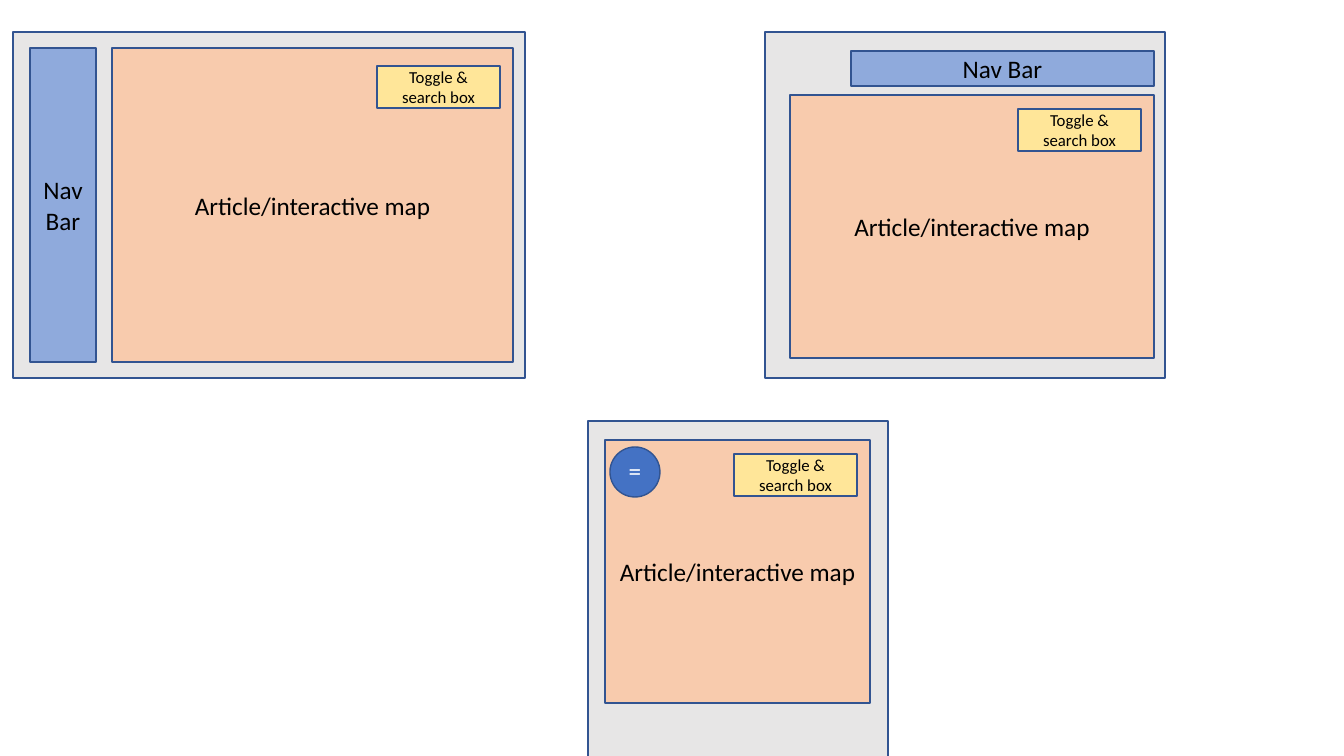
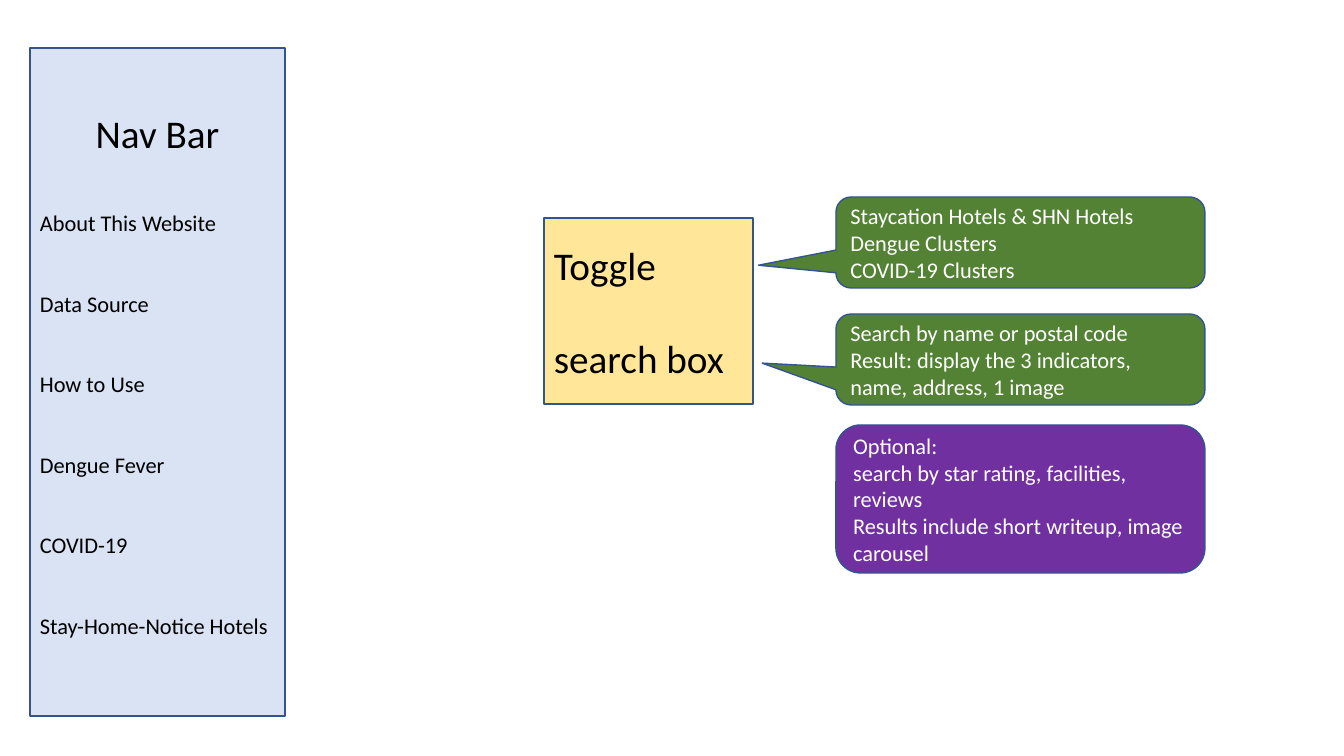
from dataclasses import dataclass

from pptx import Presentation
from pptx.dml.color import RGBColor
from pptx.enum.shapes import MSO_SHAPE
from pptx.enum.text import MSO_ANCHOR, PP_ALIGN
from pptx.util import Emu, Pt


@dataclass(frozen=True)
class Theme:
    font: str = "Calibri"
    outline: str = "325491"
    screen: str = "E7E6E6"
    nav: str = "8FAADC"
    nav_pale: str = "DAE3F3"
    article: str = "F8CBAD"
    toggle: str = "FFE699"
    button: str = "4472C4"
    required: str = "548235"
    optional: str = "7030A0"
    dark: str = "000000"
    light: str = "FFFFFF"
    heading: int = 28
    label: int = 18
    body: int = 16
    small: int = 12


THEME = Theme()
SCALE = 914400 / 100.8


def px(length):
    return Emu(round(length * SCALE))


class Wireframe:
    def __init__(self, theme):
        self.theme = theme
        self.deck = Presentation()
        self.deck.slide_width, self.deck.slide_height = px(1344), px(756)
        self.page = None

    def new_page(self):
        self.page = self.deck.slides.add_slide(self.deck.slide_layouts[6])

    def box(self, place, fill, kind=MSO_SHAPE.RECTANGLE, adjust=()):
        box = self.page.shapes.add_shape(kind, *map(px, place))
        box.shadow.inherit = False
        box.fill.solid()
        box.fill.fore_color.rgb = RGBColor.from_string(fill)
        box.line.color.rgb = RGBColor.from_string(self.theme.outline)
        box.line.width = Pt(1)
        for index, value in enumerate(adjust):
            box.adjustments[index] = value
        box.text_frame.word_wrap = True
        box.text_frame.vertical_anchor = MSO_ANCHOR.MIDDLE
        return box

    def add_lines(self, box, lines, size, color=None, align=PP_ALIGN.LEFT, gap=0):
        """Fill the box with one paragraph a line, gap points apart."""
        frame = box.text_frame
        for index, line in enumerate(lines):
            para = frame.add_paragraph() if index else frame.paragraphs[0]
            para.alignment = align
            para.space_before = Pt(gap if index else 0)
            span = para.add_run()
            span.text = line
            span.font.name = self.theme.font
            span.font.size = Pt(size)
            span.font.color.rgb = RGBColor.from_string(color or self.theme.dark)
        return frame

    def label(self, place, fill, text, size):
        self.add_lines(self.box(place, fill), [text], size, align=PP_ALIGN.CENTER)

    def screen(self, place, article, toggle_top, nav=None):
        """A device screen: optional nav bar, article and its toggle box."""
        theme = self.theme
        self.box(place, theme.screen)
        if nav:
            self.label(nav, theme.nav, "Nav Bar", theme.label)
        self.label(article, theme.article, "Article/interactive map", theme.label)
        left, top, width, _ = article
        toggle = (left + width - 136, top + toggle_top, 123, 42)
        self.label(toggle, theme.toggle, "Toggle & search box", theme.small)

    def menu_button(self, place):
        button = self.box(place, self.theme.button, MSO_SHAPE.OVAL)
        frame = self.add_lines(button, ["=", "="], self.theme.label,
                               self.theme.light, PP_ALIGN.CENTER)
        frame.margin_top = frame.margin_bottom = 0
        frame.paragraphs[1].line_spacing = Pt(2)

    def menu(self, place, title, items):
        box = self.box(place, self.theme.nav_pale)
        frame = self.add_lines(box, [title, *items], self.theme.body, gap=28.7)
        frame.margin_bottom = px(45)
        for para in frame.paragraphs:
            para.line_spacing = 1.5
        heading = frame.paragraphs[0]
        heading.alignment = PP_ALIGN.CENTER
        heading.runs[0].font.size = Pt(self.theme.heading)

    def note(self, top, height, fill, lines, pointer=None):
        kind = (MSO_SHAPE.ROUNDED_RECTANGULAR_CALLOUT if pointer
                else MSO_SHAPE.ROUNDED_RECTANGLE)
        adjust = (*pointer, 0.167) if pointer else ()
        box = self.box((836, top, 369, height), fill, kind, adjust)
        self.add_lines(box, lines, self.theme.body, self.theme.light)


frames = Wireframe(THEME)

# Page 1: desktop, tablet and phone layouts
frames.new_page()
frames.screen((13, 32, 512, 346), (112, 48, 401, 314), 18, nav=(30, 48, 66, 314))
frames.screen((765, 32, 400, 346), (790, 95, 364, 263), 14, nav=(851, 51, 303, 35))
frames.screen((588, 421, 300, 346), (605, 440, 265, 263), 14)
frames.menu_button((610, 447, 50, 50))

# Page 2: nav bar entries
frames.new_page()
frames.menu((30, 48, 255, 668), "Nav Bar", [
    "About This Website", "Data Source", "How to Use",
    "Dengue Fever", "COVID-19", "Stay-Home-Notice Hotels"])

# Page 2: toggle and search box, with notes
toggle_box = frames.box((544, 218, 209, 186), THEME.toggle)
frames.add_lines(toggle_box, ["Toggle", "search box"], THEME.heading, gap=33)
frames.note(197, 91, THEME.required, [
    "Staycation Hotels & SHN Hotels", "Dengue Clusters", "COVID-19 Clusters",
], pointer=(-0.71, 0.25))
frames.note(314, 91, THEME.required, [
    "Search by name or postal code",
    "Result: display the 3 indicators, name, address, 1 image",
], pointer=(-0.7, 0.04))
frames.note(425, 148, THEME.optional, [
    "Optional:", "search by star rating, facilities, reviews",
    "Results include short writeup, image carousel"])

frames.deck.save("out.pptx")
